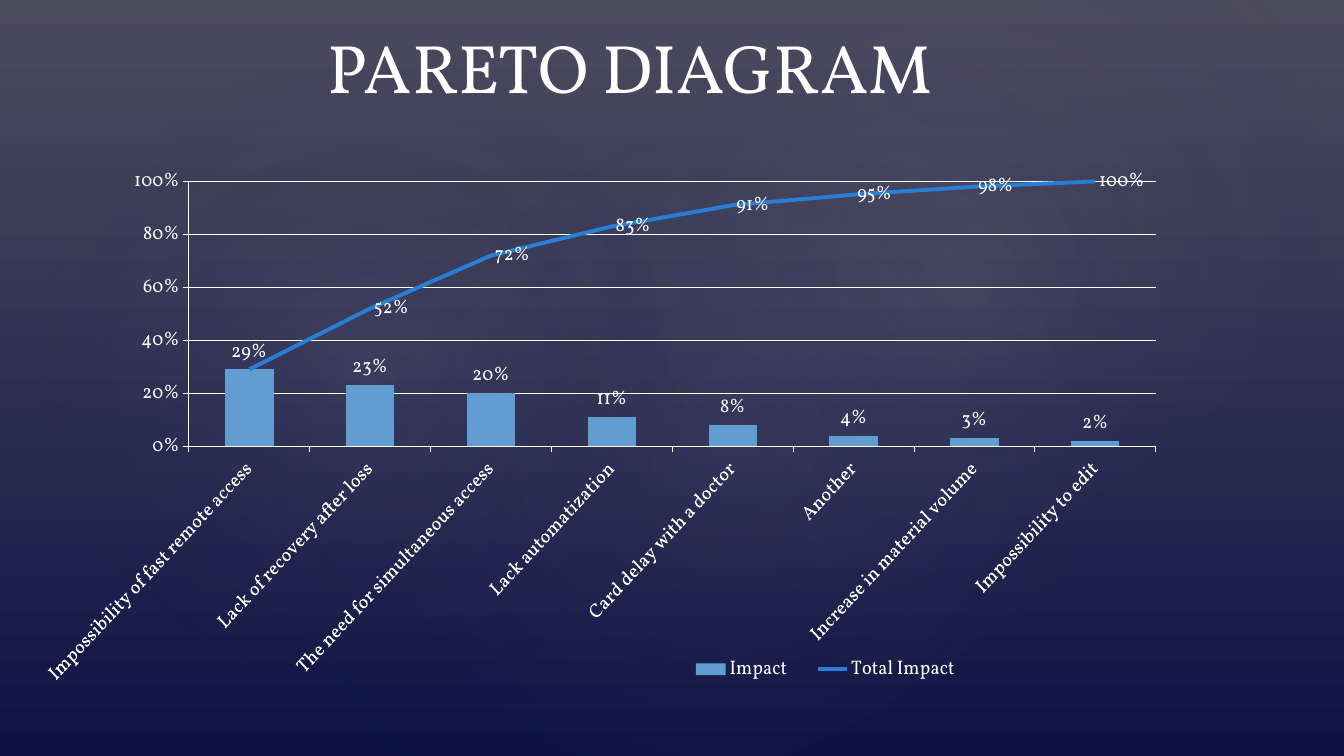
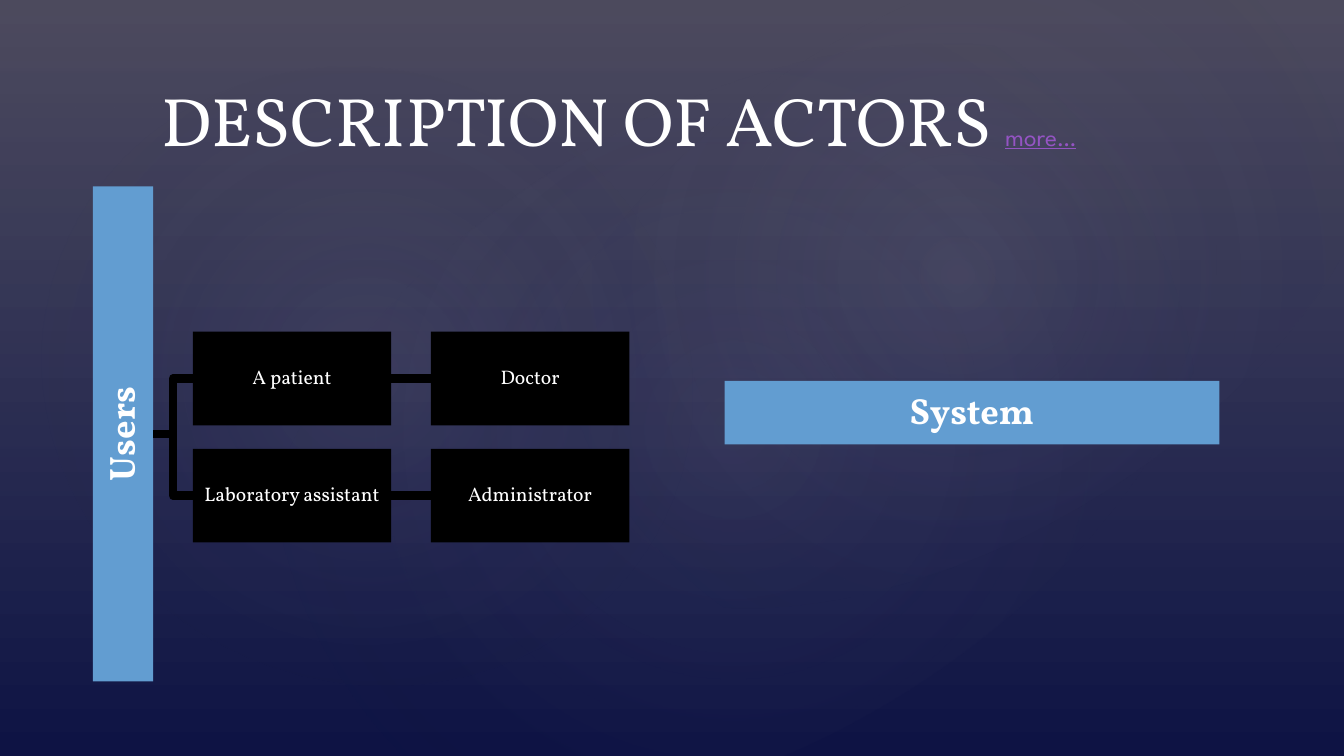
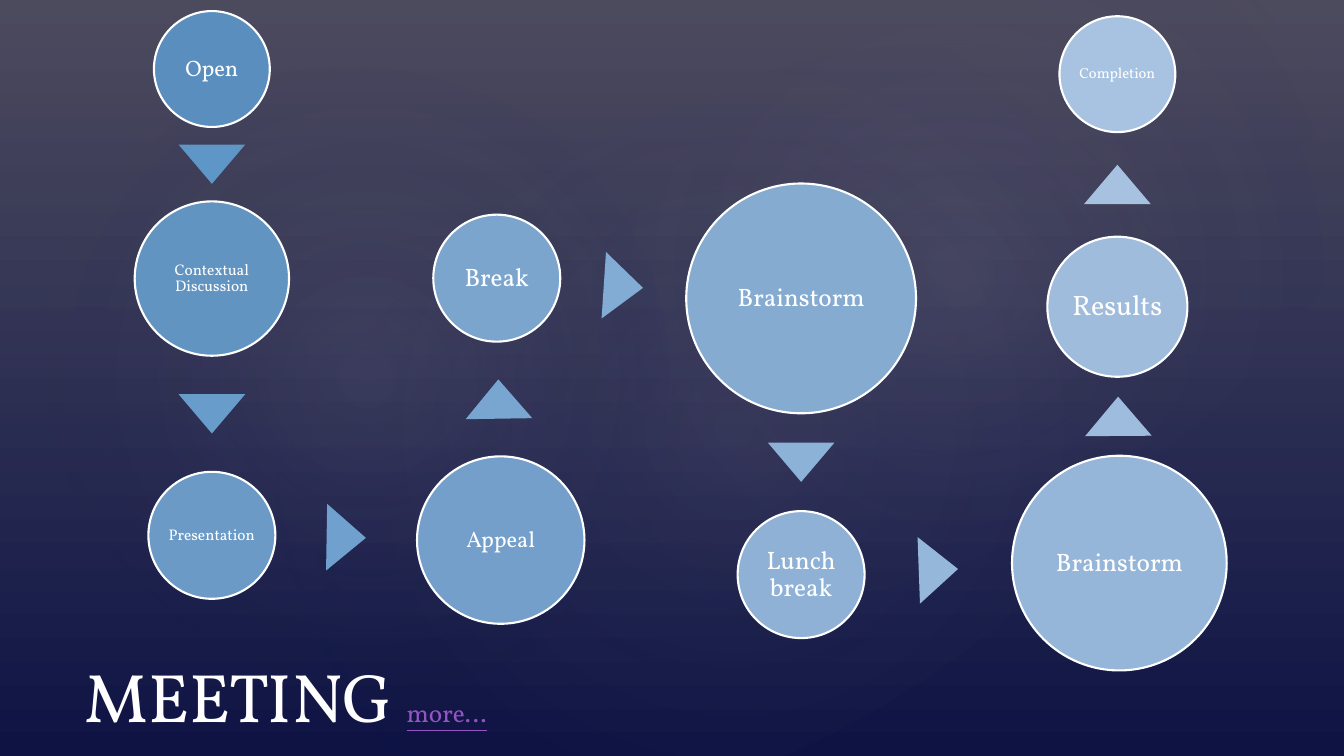
from math import atan2, degrees, hypot

from pptx import Presentation
from pptx.chart.data import CategoryChartData
from pptx.dml.color import RGBColor
from pptx.enum.chart import XL_CHART_TYPE, XL_LABEL_POSITION, XL_LEGEND_POSITION, XL_MARKER_STYLE
from pptx.enum.shapes import MSO_CONNECTOR, MSO_SHAPE
from pptx.enum.text import MSO_ANCHOR, MSO_AUTO_SIZE, PP_ALIGN
from pptx.oxml import parse_xml
from pptx.oxml.ns import nsdecls, qn
from pptx.util import Cm, Pt

COLORS = {
    "sky": "4B4D65", "night": "0C1143",
    "veil": "504652", "navy": "242852", "glow": "C4BCC6",
    "white": "FFFFFF", "black": "000000", "link": "9454C3",
    "bar": "629DD1", "total": "297FD5",
    "first_step": "598EBE", "last_step": "A8C2E1",
    "first_arrow": "5E96C8", "last_arrow": "A7C2E0",
}
FONT = "Vollkorn"
LINK_FONT = "League Spartan"
WIDTH, HEIGHT = 33.87, 19.05

IMPACTS = [
    ("Impossibility of fast remote access", 0.29, 0.29),
    ("Lack of recovery after loss", 0.23, 0.52),
    ("The need for simultaneous access", 0.2, 0.72),
    ("Lack automatization", 0.11, 0.83),
    ("Card delay with a doctor", 0.08, 0.91),
    ("Another", 0.04, 0.95),
    ("Increase in material volume", 0.03, 0.98),
    ("Impossibility to edit", 0.02, 1),
]
USERS = [("A patient", "Doctor"), ("Laboratory assistant", "Administrator")]
# text, font size, centre x, centre y, diameter
MEETING_STEPS = [
    ("Open", 16, 1.94, 1.47, 2.92),
    ("Contextual Discussion", 11, 1.94, 6.75, 3.89),
    ("Presentation", 11, 1.94, 13.22, 3.2),
    ("Appeal", 16, 9.22, 13.34, 4.22),
    ("Break", 18, 9.12, 6.74, 3.2),
    ("Brainstorm", 18, 16.79, 7.25, 5.79),
    ("Lunch break", 18, 16.79, 14.21, 3.2),
    ("Brainstorm", 18, 24.81, 13.92, 5.41),
    ("Results", 20, 24.76, 7.46, 3.53),
    ("Completion", 10.5, 24.76, 1.6, 2.92),
]


def rgb(name):
    return RGBColor.from_string(COLORS[name])


def blend(first, last, share):
    pairs = zip(rgb(first), rgb(last))
    return RGBColor(*(round(a + (b - a) * share) for a, b in pairs))


def add_text(paragraph, text, size=14, color="white", font=FONT, bold=False, underline=False):
    run = paragraph.add_run()
    run.text = text
    run.font.size = Pt(size)
    run.font.name = font
    run.font.bold = bold
    run.font.underline = underline
    run.font.color.rgb = rgb(color)


def add_block(slide, preset, left, top, width, height, fill=None):
    block = slide.shapes.add_shape(preset, Cm(left), Cm(top), Cm(width), Cm(height))
    block.shadow.inherit = False
    block.line.fill.background()
    if fill is not None:
        block.fill.solid()
        block.fill.fore_color.rgb = fill
    return block


def label(block, text, **text_format):
    """Centre text inside a block."""
    frame = block.text_frame
    frame.word_wrap = True
    frame.vertical_anchor = MSO_ANCHOR.MIDDLE
    frame.margin_left = frame.margin_right = frame.margin_top = frame.margin_bottom = 0
    paragraph = frame.paragraphs[0]
    paragraph.alignment = PP_ALIGN.CENTER
    paragraph.line_spacing = 0.9
    add_text(paragraph, text, **text_format)


def paint_gradient(fill, first, last, end=1):
    """Paint a gradient that runs downwards."""
    fill.gradient()
    fill.gradient_angle = 270
    for stop, color, position in zip(fill.gradient_stops, (first, last), (0, end)):
        stop.color.rgb = rgb(color)
        stop.position = position


def set_opacity(block, *percents):
    """Give each gradient stop of a block its opacity."""
    for color, percent in zip(block.element.spPr.iter(qn("a:srgbClr")), percents):
        color.append(parse_xml(f'<a:alpha {nsdecls("a")} val="{percent * 1000}"/>'))


def make_radial(block):
    linear = next(block.element.spPr.iter(qn("a:lin")))
    linear.getparent().replace(linear, parse_xml(
        f'<a:path {nsdecls("a")} path="circle">'
        '<a:fillToRect l="50000" t="50000" r="50000" b="50000"/></a:path>'))


def build_backdrop(master, slide):
    """Draw the shared backdrop on a slide and move it to the master."""
    paint_gradient(master.background.fill, "sky", "night")
    veil = add_block(slide, MSO_SHAPE.RECTANGLE, 0, 0, WIDTH, HEIGHT)
    paint_gradient(veil.fill, "veil", "navy")
    set_opacity(veil, 36, 10)
    layers = [veil]
    for box, rotation, opacity in [
        ((5.08, 2.9, 26.82, 15.85), 328.7, 7),
        ((1.55, 1.17, 15.39, 16.59), 294.3, 8),
        ((12.14, 0.33, 24, 13.21), 328.7, 8),
    ]:
        glow = add_block(slide, MSO_SHAPE.OVAL, *box)
        glow.rotation = rotation
        paint_gradient(glow.fill, "glow", "navy", end=0.58)
        set_opacity(glow, opacity, 0)
        make_radial(glow)
        layers.append(glow)
    for index, layer in enumerate(layers):
        layer.element.nvSpPr.cNvPr.set("id", str(100 + index))
        master.shapes.element.insert(2 + index, layer.element)


def place_title(slide, text, left, top, width, height, more_font=None):
    title = slide.shapes.title
    title.left, title.top, title.width, title.height = Cm(left), Cm(top), Cm(width), Cm(height)
    frame = title.text_frame
    frame.auto_size = MSO_AUTO_SIZE.NONE
    frame.vertical_anchor = MSO_ANCHOR.BOTTOM
    paragraph = frame.paragraphs[0]
    paragraph.alignment = PP_ALIGN.LEFT
    add_text(paragraph, text, size=49)
    if more_font:
        add_text(paragraph, " ", size=49)
        add_text(paragraph, "more…", size=18, font=more_font, color="link", underline=True)


def set_layout(parent, index, x, y, w, h, inner=False):
    """Place a plot area or legend by shares of the chart's size."""
    for old in parent.findall(qn("c:layout")):
        parent.remove(old)
    target = '<c:layoutTarget val="inner"/>' if inner else ""
    parent.insert(index, parse_xml(
        f'<c:layout {nsdecls("c")}><c:manualLayout>{target}'
        '<c:xMode val="edge"/><c:yMode val="edge"/>'
        f'<c:x val="{x}"/><c:y val="{y}"/><c:w val="{w}"/><c:h val="{h}"/>'
        '</c:manualLayout></c:layout>'))


def move_to_line_plot(plot_area):
    """Turn the second column series into a line on the same axes."""
    columns = plot_area.find(qn("c:barChart"))
    total = columns.findall(qn("c:ser"))[1]
    for bar_only in total.findall(qn("c:invertIfNegative")):
        total.remove(bar_only)
    axes = "".join(f'<c:axId val="{axis.get("val")}"/>' for axis in columns.findall(qn("c:axId")))
    line_plot = parse_xml(
        f'<c:lineChart {nsdecls("c")}><c:grouping val="standard"/><c:varyColors val="0"/>'
        f'<c:marker val="1"/>{axes}</c:lineChart>')
    line_plot.insert(2, total)
    columns.addnext(line_plot)


def show_values(series, position):
    labels = series.data_labels
    labels.show_value = True
    labels.number_format = "0%"
    labels.number_format_is_linked = False
    labels.position = position


def add_pareto(slide, left, top, width, height):
    names, impacts, totals = zip(*IMPACTS)
    data = CategoryChartData(number_format="0%")
    data.categories = names
    data.add_series("Impact", impacts)
    data.add_series("Total Impact", totals)
    chart = slide.shapes.add_chart(
        XL_CHART_TYPE.COLUMN_CLUSTERED, Cm(left), Cm(top), Cm(width), Cm(height), data).chart
    chart.has_title = False
    chart.font.size = Pt(14)
    chart.font.name = FONT
    chart.font.color.rgb = rgb("white")

    plot_area = next(chart.element.iter(qn("c:plotArea")))
    move_to_line_plot(plot_area)
    set_layout(plot_area, 0, 0.06, 0.085, 0.881, 0.464, inner=True)
    columns, line_plot = chart.plots
    columns.gap_width = 150
    columns.vary_by_categories = False

    impact, total = columns.series[0], line_plot.series[0]
    impact.invert_if_negative = False
    impact.format.fill.solid()
    impact.format.fill.fore_color.rgb = rgb("bar")
    show_values(impact, XL_LABEL_POSITION.OUTSIDE_END)
    total.format.line.color.rgb = rgb("total")
    total.format.line.width = Pt(3)
    total.marker.style = XL_MARKER_STYLE.NONE
    total.smooth = False
    show_values(total, XL_LABEL_POSITION.RIGHT)
    total_labels = next(line_plot._element.iter(qn("c:dLbls")))
    total_labels.insert(0, parse_xml(
        f'<c:dLbl {nsdecls("c")}><c:idx val="0"/><c:delete val="1"/></c:dLbl>'))

    shares, causes = chart.value_axis, chart.category_axis
    shares.minimum_scale, shares.maximum_scale, shares.major_unit = 0, 1, 0.2
    shares.tick_labels.number_format = "0%"
    shares.tick_labels.number_format_is_linked = False
    shares.has_major_gridlines = True
    for line in (shares.format.line, causes.format.line, shares.major_gridlines.format.line):
        line.color.rgb = rgb("white")
        line.width = Pt(0.75)
    causes.tick_labels.font.size = Pt(14)
    next(causes._element.iter(qn("a:bodyPr"))).set("rot", "-2700000")

    chart.has_legend = True
    chart.legend.position = XL_LEGEND_POSITION.BOTTOM
    chart.legend.include_in_layout = False
    set_layout(next(chart.element.iter(qn("c:legend"))), 1, 0.5, 0.9, 0.28, 0.08)


def join(slide, kind, start, end):
    """Link the right side of one block to the left side of another."""
    link = slide.shapes.add_connector(kind, 0, 0, 0, 0)
    link.begin_connect(start, 3)
    link.end_connect(end, 1)
    link.line.color.rgb = rgb("black")
    link.line.width = Pt(6)
    link._element.spPr.append(parse_xml(f'<a:effectLst {nsdecls("a")}/>'))


def add_user_tree(slide, left, top, height):
    root_width, gap, row_gap = 1.52, 1, 0.59
    box_width, box_height = 5, 2.36
    first_row = 3.66
    root = add_block(slide, MSO_SHAPE.RECTANGLE, left, top, root_width, height, rgb("bar"))
    label(root, "Users", size=26, bold=True)
    next(root.element.iter(qn("a:bodyPr"))).set("vert", "vert270")
    for row, users in enumerate(USERS):
        parent, kind = root, MSO_CONNECTOR.ELBOW
        for column, user in enumerate(users):
            box = add_block(
                slide, MSO_SHAPE.RECTANGLE,
                left + root_width + gap + column * (box_width + gap),
                top + first_row + row * (box_height + row_gap),
                box_width, box_height, rgb("black"))
            label(box, user)
            join(slide, kind, parent, box)
            parent, kind = box, MSO_CONNECTOR.STRAIGHT


def add_system(slide, left, top, width, height):
    system = add_block(slide, MSO_SHAPE.RECTANGLE, left, top, width, height, rgb("bar"))
    label(system, "System", size=26, bold=True)


def add_arrow(slide, start, end, color):
    """Put a triangle halfway between the rims of two circles (x, y, diameter)."""
    width, height = 1.68, 0.99
    (x, y, diameter), (next_x, next_y, next_diameter) = start, end
    dx, dy = next_x - x, next_y - y
    share = 0.5 + (diameter - next_diameter) / 4 / hypot(dx, dy)
    arrow = add_block(
        slide, MSO_SHAPE.ISOSCELES_TRIANGLE,
        x + dx * share - width / 2, y + dy * share - height / 2, width, height, color)
    arrow.rotation = degrees(atan2(dx, -dy)) % 360


def add_meeting_flow(slide, left, top):
    last = len(MEETING_STEPS) - 1
    previous = None
    for index, (text, size, x, y, diameter) in enumerate(MEETING_STEPS):
        circle = (left + x, top + y, diameter)
        if previous:
            share = (index - 1) / (last - 1)
            add_arrow(slide, previous, circle, blend("first_arrow", "last_arrow", share))
        step = add_block(
            slide, MSO_SHAPE.OVAL,
            circle[0] - diameter / 2, circle[1] - diameter / 2, diameter, diameter,
            blend("first_step", "last_step", index / last))
        step.line.color.rgb = rgb("white")
        step.line.width = Pt(1.5)
        label(step, text, size=size)
        previous = circle


def main():
    prs = Presentation()
    prs.slide_width, prs.slide_height = Cm(WIDTH), Cm(HEIGHT)
    title_only = prs.slide_layouts[5]
    pareto, actors, meeting = (prs.slides.add_slide(title_only) for _ in range(3))
    build_backdrop(prs.slide_master, pareto)

    place_title(pareto, "PARETO DIAGRAM", 8, 0.43, 21.13, 2.39)
    add_pareto(pareto, 1.09, 3.35, 29.67, 14.38)

    place_title(actors, "DESCRIPTION OF ACTORS", 3.81, 1.63, 27.94, 2.54, more_font=LINK_FONT)
    add_user_tree(actors, 2.34, 4.7, 12.47)
    add_system(actors, 18.26, 9.6, 12.47, 1.6)

    place_title(meeting, "MEETING", 1.88, 16.13, 27.94, 2.54, more_font=FONT)
    add_meeting_flow(meeting, 3.4, 0.27)

    prs.save("out.pptx")


if __name__ == "__main__":
    main()
